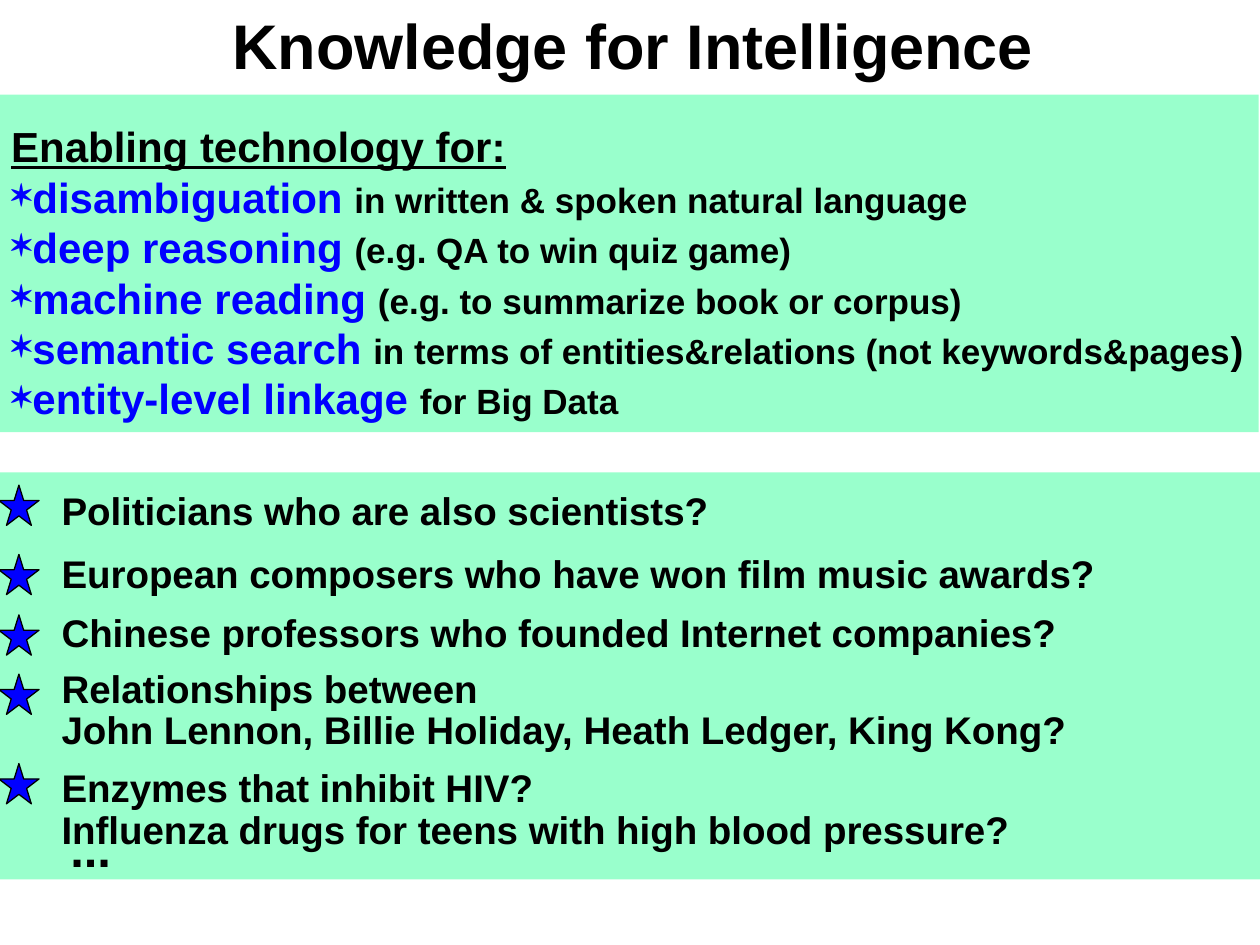
import dataclasses

import lxml.etree
import pptx
import pptx.dml.color
import pptx.enum.shapes
import pptx.enum.text
import pptx.oxml.ns
import pptx.util

PX = 9144


@dataclasses.dataclass(frozen=True)
class Theme:
    font: str = "Arial"
    ink: str = "000000"
    blue: str = "0000FF"
    mint: str = "99FFCC"
    title: int = 36
    dots: int = 28
    lead: int = 24
    query: int = 22
    note: int = 20


THEME = Theme()
SHAPE = pptx.enum.shapes.MSO_SHAPE
ALIGN = pptx.enum.text.PP_ALIGN

USES = [
    ("disambiguation ", [("in written & spoken natural language", THEME.note)]),
    ("deep reasoning ", [("(e.g. QA to win quiz game)", THEME.note)]),
    ("machine reading ", [("(e.g. to summarize book or corpus)", THEME.note)]),
    ("semantic search ", [
        ("in terms of entities&relations (not keywords&pages", THEME.note),
        (")", THEME.query),
    ]),
    ("entity-level linkage ", [("for Big Data", THEME.note)]),
]

QUERIES = [
    (11, 10, 560, ["Politicians who are also scientists?"]),
    (61, 65, 851, ["European composers who have won film music awards?"]),
    (108, 113, 821, ["Chinese professors who founded Internet companies?"]),
    (152, 160, 829, ["Relationships between",
                     "John Lennon, Billie Holiday, Heath Ledger, King Kong?"]),
    (231, 231, 783, ["Enzymes that inhibit HIV?",
                     "Influenza drugs for teens with high blood pressure?"]),
]


def emu(*sizes):
    return [pptx.util.Emu(size * PX) for size in sizes]


def tint(color):
    return pptx.dml.color.RGBColor.from_string(color)


def write(par, text, size=THEME.lead, color=THEME.ink, under=False):
    run = par.add_run()
    run.text = text
    font = run.font
    font.name = THEME.font
    font.size = pptx.util.Pt(size)
    font.bold = True
    font.underline = under
    font.color.rgb = tint(color)


def mark(par, sign):
    props = par._p.get_or_add_pPr()
    props.set("marL", "0")
    props.set("indent", "0")
    tag = pptx.oxml.ns.qn("a:buChar")
    lxml.etree.SubElement(props, tag).set("char", sign)


def frame(slide, box, wrap=False):
    area = slide.shapes.add_textbox(*emu(*box)).text_frame
    area.word_wrap = wrap
    return area


def lines(area, count):
    return [area.paragraphs[0]] + [area.add_paragraph() for _ in range(count - 1)]


def draw(slide, kind, box, fill, edge=None):
    shape = slide.shapes.add_shape(kind, *emu(*box))
    shape.shadow.inherit = False
    shape.fill.solid()
    shape.fill.fore_color.rgb = tint(fill)
    if edge:
        shape.line.color.rgb = tint(edge)
        shape.line.width = pptx.util.Pt(0.75)
    else:
        shape.line.fill.background()


def head(slide, box):
    title = slide.shapes.title
    title.left, title.top, title.width, title.height = emu(*box)
    area = title.text_frame
    area.auto_size = pptx.enum.text.MSO_AUTO_SIZE.NONE
    area.vertical_anchor = pptx.enum.text.MSO_ANCHOR.TOP
    par = area.paragraphs[0]
    par.alignment = ALIGN.CENTER
    write(par, "Knowledge for Intelligence", size=THEME.title)


def uses(slide, box):
    left, top, width, height = box
    draw(slide, SHAPE.RECTANGLE, box, THEME.mint)
    area = frame(slide, (left, top + 16, width + 19, height - 16))
    first, *rest = lines(area, len(USES) + 1)
    write(first, "Enabling technology for:", under=True)
    for par, (term, notes) in zip(rest, USES):
        mark(par, "✶")
        write(par, term, color=THEME.blue)
        for text, size in notes:
            write(par, text, size=size)


def queries(slide, box):
    left, top, width, height = box
    draw(slide, SHAPE.RECTANGLE, box, THEME.mint)
    for drop, star, wide, texts in QUERIES:
        draw(slide, SHAPE.STAR_5_POINT, (left - 1, top + star, 32, 32),
             THEME.blue, edge=THEME.ink)
        tall = 9 + 34 * len(texts)
        area = frame(slide, (left + 39, top + drop, wide, tall))
        for par, text in zip(lines(area, len(texts)), texts):
            par.line_spacing = 0.9
            write(par, text, size=THEME.query)
    dots = frame(slide, (left + 46, top + 270, 63, 57), wrap=True)
    write(dots.paragraphs[0], "...", size=THEME.dots)


def main():
    deck = pptx.Presentation()
    deck.slide_width, deck.slide_height = emu(1000, 750)
    slide = deck.slides.add_slide(deck.slide_layouts[5])
    head(slide, (-37, 0, 1079, 71))
    uses(slide, (-1, 75, 1000, 268))
    queries(slide, (0, 375, 1000, 323))
    deck.save("out.pptx")


if __name__ == "__main__":
    main()
